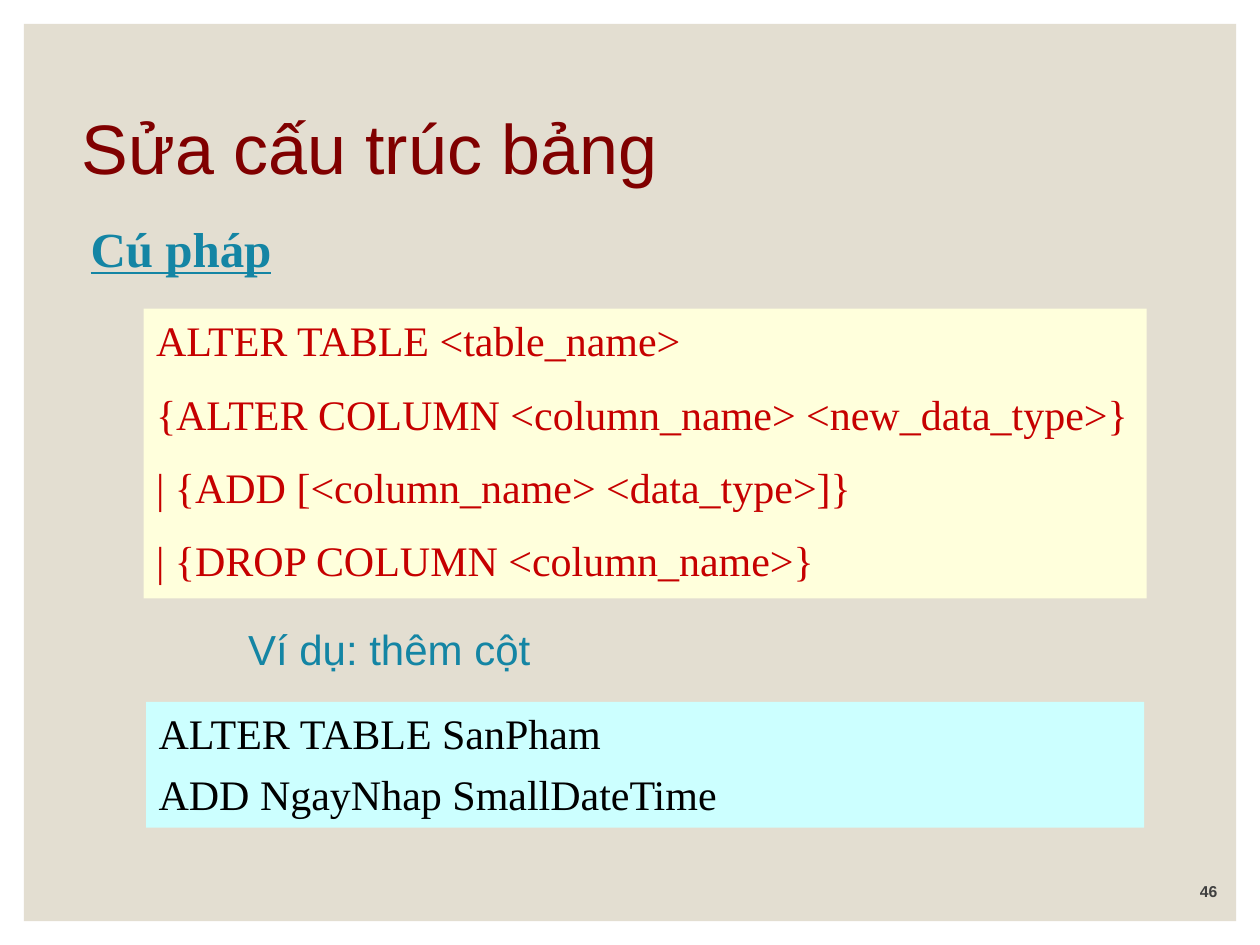
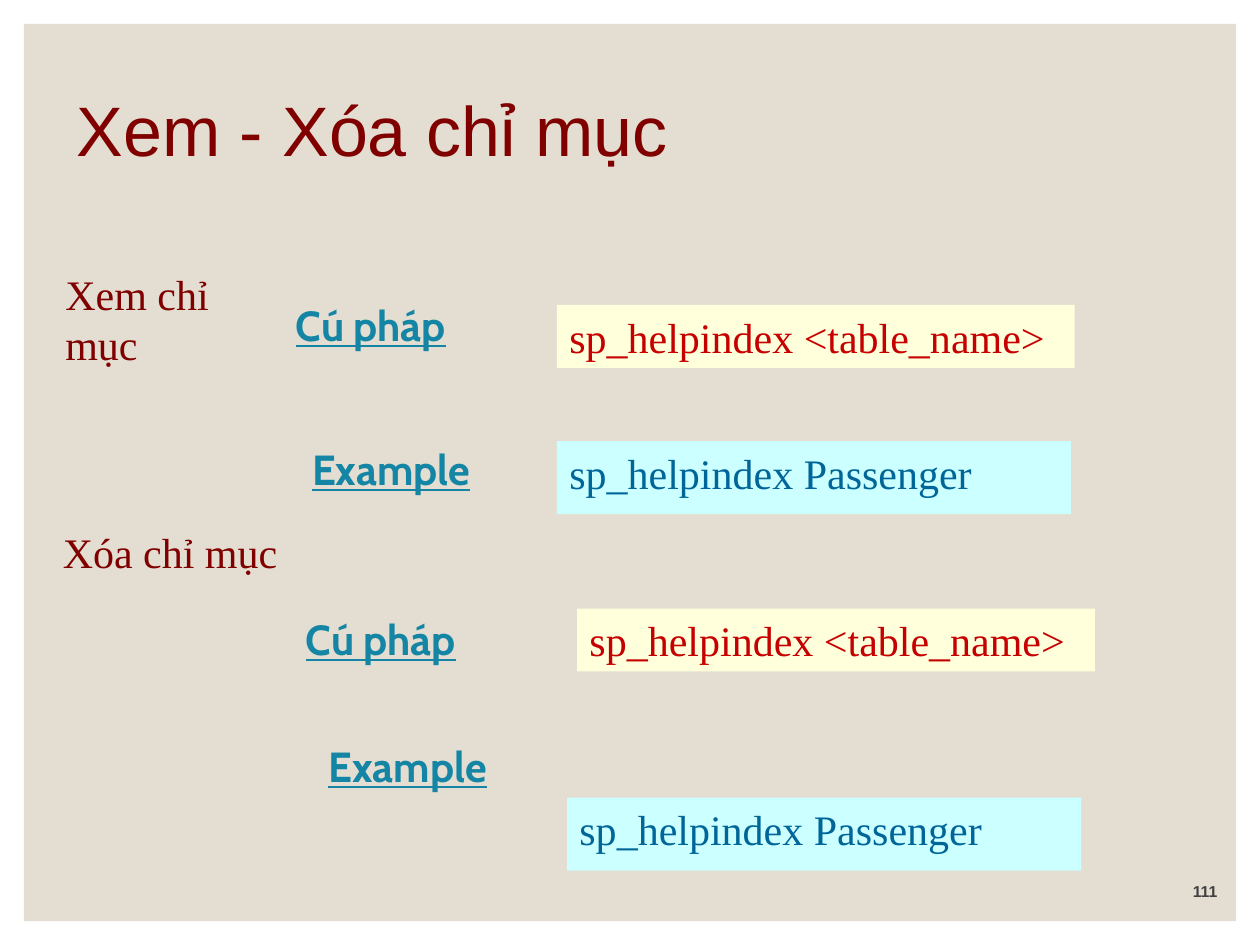
from dataclasses import dataclass
from typing import NamedTuple, Optional

from pptx import Presentation
from pptx.dml.color import RGBColor
from pptx.enum.shapes import MSO_SHAPE
from pptx.enum.text import MSO_ANCHOR, PP_ALIGN
from pptx.util import Inches, Pt

# Grid: 100 columns by 75 rows of square cells
COLUMNS, ROWS = 100, 75
CELL = Inches(10) // COLUMNS

# Shared colours
WHITE, PANEL = "FFFFFF", "E3DED1"
SYNTAX_FILL, EXAMPLE_FILL = "FFFFDC", "CCFFFF"
MAROON, RED, TEAL, BLUE, BLACK, GREY = (
    "800000", "C60000", "1485A4", "006699", "000000", "404040")
SERIF, SANS, LABEL = "Times New Roman", "Arial", "Cabin"


class Area(NamedTuple):
    """Left, top, width and height in grid cells."""
    left: float
    top: float
    width: float
    height: float


@dataclass(frozen=True)
class Style:
    color: str
    font: str = SERIF
    size: float = 24
    strong: bool = False  # bold and underlined
    bold: bool = False
    fill: Optional[str] = None
    anchor: MSO_ANCHOR = MSO_ANCHOR.TOP
    align: PP_ALIGN = PP_ALIGN.LEFT
    gap: float = 0  # points between paragraphs
    line_spacing: Optional[float] = None
    wrap: bool = True


TITLE = Style(MAROON, SANS, 40, anchor=MSO_ANCHOR.MIDDLE, line_spacing=0.9)
NUMBER = Style(GREY, SANS, 9, bold=True, anchor=MSO_ANCHOR.BOTTOM,
               align=PP_ALIGN.RIGHT)
SYNTAX = Style(RED, fill=SYNTAX_FILL, gap=13)
EXAMPLE = Style(BLACK, fill=EXAMPLE_FILL, gap=6)
INDEX_EXAMPLE = Style(BLUE, fill=EXAMPLE_FILL)
HEADING = Style(TEAL, SERIF, 28, strong=True, anchor=MSO_ANCHOR.BOTTOM)
CAPTION = Style(TEAL, SANS, anchor=MSO_ANCHOR.BOTTOM,
                align=PP_ALIGN.CENTER, wrap=False)
SYNTAX_LABEL = Style(TEAL, LABEL, strong=True, anchor=MSO_ANCHOR.BOTTOM)
EXAMPLE_LABEL = Style(TEAL, LABEL, strong=True, anchor=MSO_ANCHOR.BOTTOM,
                      align=PP_ALIGN.CENTER, wrap=False)
SECTION = Style(MAROON, wrap=False)


class Block(NamedTuple):
    area: Area
    style: Style
    text: str


class IndexSection(NamedTuple):
    """Top left corners of a section's parts on the index slide."""
    name: Block
    syntax_label: tuple[float, float]
    syntax: tuple[float, float]
    example_label: tuple[float, float]
    example: tuple[float, float]


def rgb(value: str) -> RGBColor:
    return RGBColor.from_string(value)


def cells(area: Area) -> list[int]:
    return [round(v * CELL) for v in area]


def add_rect(s, area: Area, fill: str):
    sp = s.shapes.add_shape(MSO_SHAPE.RECTANGLE, *cells(area))
    sp.shadow.inherit = False
    sp.fill.solid()
    sp.fill.fore_color.rgb = rgb(fill)
    sp.line.fill.background()
    return sp


def add_block(s, block: Block) -> None:
    """Draw text, on a filled rectangle when its style has a fill."""
    area, style, text = block
    if style.fill:
        sp = add_rect(s, area, style.fill)
    else:
        sp = s.shapes.add_textbox(*cells(area))
    tf = sp.text_frame
    tf.word_wrap = style.wrap
    tf.vertical_anchor = style.anchor
    tf.text = text
    for i, p in enumerate(tf.paragraphs):
        p.alignment = style.align
        if style.line_spacing:
            p.line_spacing = style.line_spacing
        if i and style.gap:
            p.space_before = Pt(style.gap)
        for r in p.runs:
            r.font.name = style.font
            r.font.size = Pt(style.size)
            r.font.bold = style.bold or style.strong
            r.font.underline = style.strong
            r.font.color.rgb = rgb(style.color)


def add_base(prs, title: str, title_area: Area, number: int):
    """Add a slide with the shared panel, title and slide number."""
    s = prs.slides.add_slide(prs.slide_layouts[6])
    s.background.fill.solid()
    s.background.fill.fore_color.rgb = rgb(WHITE)
    margin = 1.9
    add_rect(s, Area(margin, margin, COLUMNS - 2 * margin, ROWS - 2 * margin),
             PANEL)
    add_block(s, Block(title_area, TITLE, title))
    add_block(s, Block(Area(85.6, 69, 12, 3), NUMBER, str(number)))
    return s


def add_index_section(s, section: IndexSection) -> None:
    parts = [
        (section.syntax_label, (27.5, 5), SYNTAX_LABEL, "Cú pháp"),
        (section.syntax, (41.1, 5), SYNTAX, "sp_helpindex <table_name>"),
        (section.example_label, (16.3, 5), EXAMPLE_LABEL, "Example"),
        (section.example, (40.8, 5.8), INDEX_EXAMPLE,
         "sp_helpindex Passenger"),
    ]
    add_block(s, section.name)
    for corner, size, style, text in parts:
        add_block(s, Block(Area(*corner, *size), style, text))


ALTER_TABLE = [
    Block(Area(11.4, 24.5, 79.6, 23), SYNTAX,
          "ALTER TABLE <table_name>\n"
          "{ALTER COLUMN <column_name> <new_data_type>}\n"
          "| {ADD [<column_name> <data_type>]}\n"
          "| {DROP COLUMN <column_name>}"),
    Block(Area(6.2, 16.8, 27.5, 5.7), HEADING, "Cú pháp"),
    Block(Area(18.6, 48.9, 24.6, 5.1), CAPTION, "Ví dụ: thêm cột"),
    Block(Area(11.6, 55.7, 79.2, 10), EXAMPLE,
          "ALTER TABLE SanPham\nADD NgayNhap SmallDateTime"),
]

INDEX_SECTIONS = [
    IndexSection(Block(Area(4.2, 20.8, 19.9, 5), SECTION, "Xem chỉ mục"),
                 (22.5, 23.3), (44.2, 24.2), (22.9, 34.7), (44.2, 35)),
    IndexSection(Block(Area(4, 41.3, 19, 5), SECTION, "Xóa chỉ mục"),
                 (23.3, 48.2), (45.8, 48.3), (24.2, 58.3), (45, 63.3)),
]


def main() -> None:
    prs = Presentation()
    prs.slide_width = COLUMNS * CELL
    prs.slide_height = ROWS * CELL

    # Altering a table
    s = add_base(prs, "Sửa cấu trúc bảng", Area(5.5, 5.8, 85.2, 12.5), 46)
    for block in ALTER_TABLE:
        add_block(s, block)

    # Viewing and dropping an index
    s = add_base(prs, "Xem - Xóa chỉ mục", Area(5.1, 6.4, 85.2, 8.4), 111)
    for section in INDEX_SECTIONS:
        add_index_section(s, section)

    prs.save("out.pptx")


if __name__ == "__main__":
    main()
